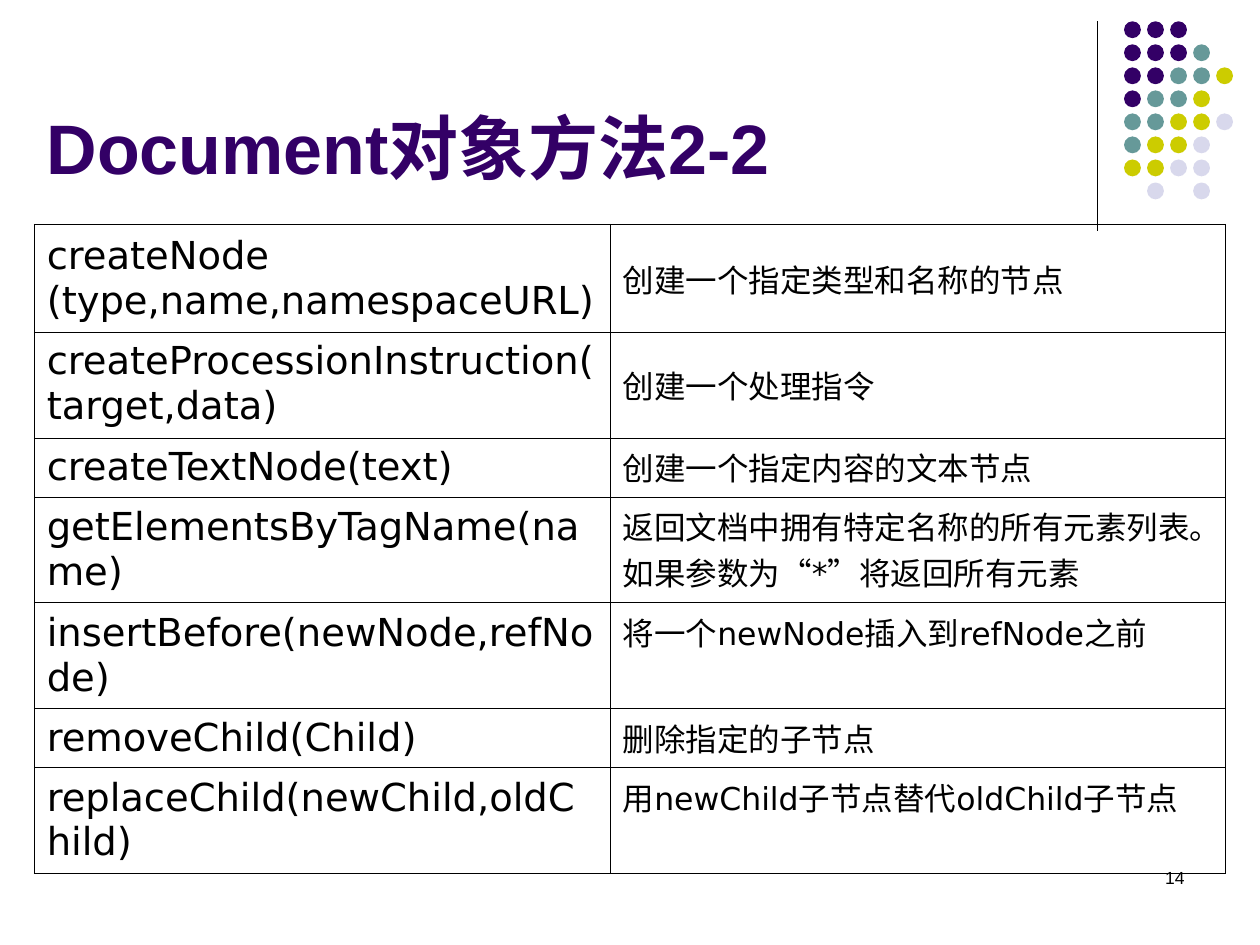
from dataclasses import dataclass

from lxml import etree
from pptx import Presentation
from pptx import util as u
from pptx.dml.color import RGBColor
from pptx.enum import shapes, text
from pptx.oxml import ns

BLACK = RGBColor(0x00, 0x00, 0x00)
PURPLE = RGBColor(0x33, 0x00, 0x66)
TEAL = RGBColor(0x66, 0x99, 0x99)
OLIVE = RGBColor(0xCC, 0xCC, 0x00)
LAVENDER = RGBColor(0xD8, 0xD8, 0xEC)

TITLE_FONT = "Arial"
TABLE_FONT = "DejaVu Sans"
TOP, MIDDLE = text.MSO_ANCHOR.TOP, text.MSO_ANCHOR.MIDDLE

# One letter per dot colour, a dot for an empty place
DOT_COLOURS = {"P": PURPLE, "T": TEAL, "O": OLIVE, "L": LAVENDER}
DOT_ROWS = ["PPP", "PPPT", "PPTTO", "PTTO", "TTOOL", "TOOL", "OOLL", ".L.L"]
DOT_LEFT, DOT_TOP = 22.66, 0.43
DOT_PITCH = 3.25 / 7
DOT_SIZE = 0.34


@dataclass
class Method:
    signature: str
    description: str
    height: float = 2.13
    signature_anchor: text.MSO_ANCHOR = MIDDLE
    description_anchor: text.MSO_ANCHOR = TOP


METHODS = [
    Method("createNode\n(type,name,namespaceURL)", "创建一个指定类型和名称的节点",
           height=2.18, description_anchor=MIDDLE),
    Method("createProcessionInstruction(target,data)", "创建一个处理指令",
           signature_anchor=TOP, description_anchor=MIDDLE),
    Method("createTextNode(text)", "创建一个指定内容的文本节点",
           height=1.19, signature_anchor=TOP),
    Method("getElementsByTagName(name)",
           "返回文档中拥有特定名称的所有元素列表。如果参数为“*”将返回所有元素"),
    Method("insertBefore(newNode,refNode)", "将一个newNode插入到refNode之前"),
    Method("removeChild(Child)", "删除指定的子节点", height=1.19),
    Method("replaceChild(newChild,oldChild)", "用newChild子节点替代oldChild子节点"),
]


def add_text(paragraph, content: str, font: str, size: float,
             colour: RGBColor = BLACK, bold: bool = False) -> None:
    for index, line in enumerate(content.split("\n")):
        if index:
            paragraph.add_line_break()
        run = paragraph.add_run()
        run.text = line
        run.font.name = font
        run.font.size = u.Pt(size)
        run.font.bold = bold
        run.font.color.rgb = colour


def add_divider(slide) -> None:
    line = slide.shapes.add_connector(
        shapes.MSO_CONNECTOR.STRAIGHT, u.Cm(22.12), u.Cm(0.43), u.Cm(22.12), u.Cm(4.65))
    line.line.color.rgb = BLACK
    line.line.width = u.Pt(0.75)
    etree.SubElement(line._element.spPr, ns.qn("a:effectLst"))


def add_dots(slide) -> None:
    group = slide.shapes.add_group_shape()
    for row, letters in enumerate(DOT_ROWS):
        for column, letter in enumerate(letters):
            if letter not in DOT_COLOURS:
                continue
            dot = group.shapes.add_shape(
                shapes.MSO_SHAPE.OVAL,
                u.Cm(DOT_LEFT + column * DOT_PITCH), u.Cm(DOT_TOP + row * DOT_PITCH),
                u.Cm(DOT_SIZE), u.Cm(DOT_SIZE))
            dot.shadow.inherit = False
            dot.fill.solid()
            dot.fill.fore_color.rgb = DOT_COLOURS[letter]
            dot.line.fill.background()


def add_title(slide, content: str) -> None:
    title = slide.shapes.title
    title.left, title.top = u.Cm(0.69), u.Cm(0.74)
    title.width, title.height = u.Cm(19.02), u.Cm(3.18)
    frame = title.text_frame
    frame.auto_size = text.MSO_AUTO_SIZE.NONE
    frame.vertical_anchor = text.MSO_ANCHOR.BOTTOM
    paragraph = frame.paragraphs[0]
    paragraph.alignment = text.PP_ALIGN.LEFT
    add_text(paragraph, content, TITLE_FONT, 40, PURPLE, bold=True)


def add_page_number(slide, number: str) -> None:
    box = slide.shapes.add_textbox(u.Cm(18.21), u.Cm(17.35), u.Cm(5.92), u.Cm(1.27))
    box.text_frame.word_wrap = True
    paragraph = box.text_frame.paragraphs[0]
    paragraph.alignment = text.PP_ALIGN.RIGHT
    add_text(paragraph, number, TITLE_FONT, 10)


def add_borders(cell, colour: RGBColor, width: float) -> None:
    properties = cell._tc.get_or_add_tcPr()
    for side in ("a:lnL", "a:lnR", "a:lnT", "a:lnB"):
        border = etree.SubElement(properties, ns.qn(side), w=str(u.Pt(width)))
        fill = etree.SubElement(border, ns.qn("a:solidFill"))
        etree.SubElement(fill, ns.qn("a:srgbClr"), val=str(colour))


def fill_cell(cell, content: str, size: float, anchor: text.MSO_ANCHOR) -> None:
    add_borders(cell, BLACK, 0.45)
    cell.fill.background()
    cell.vertical_anchor = anchor
    add_text(cell.text_frame.paragraphs[0], content, TABLE_FONT, size)


def add_method_table(slide) -> None:
    widths = [11.61, 12.4]
    height = sum(method.height for method in METHODS)
    table = slide.shapes.add_table(
        len(METHODS), len(widths), u.Cm(0.69), u.Cm(4.52),
        u.Cm(sum(widths)), u.Cm(height)).table
    table.first_row = False
    table.horz_banding = False
    for column, width in zip(table.columns, widths):
        column.width = u.Cm(width)
    for row, method in zip(table.rows, METHODS):
        row.height = u.Cm(method.height)
        fill_cell(row.cells[0], method.signature, 22, method.signature_anchor)
        fill_cell(row.cells[1], method.description, 18, method.description_anchor)


def main() -> None:
    presentation = Presentation()
    presentation.slide_width, presentation.slide_height = u.Cm(25.4), u.Cm(19.05)
    slide = presentation.slides.add_slide(presentation.slide_layouts[5])  # Title Only

    # Decoration in the top right corner
    add_divider(slide)
    add_dots(slide)

    # Content
    add_page_number(slide, "14")
    add_method_table(slide)
    add_title(slide, "Document对象方法2-2")

    presentation.save("out.pptx")


if __name__ == "__main__":
    main()
